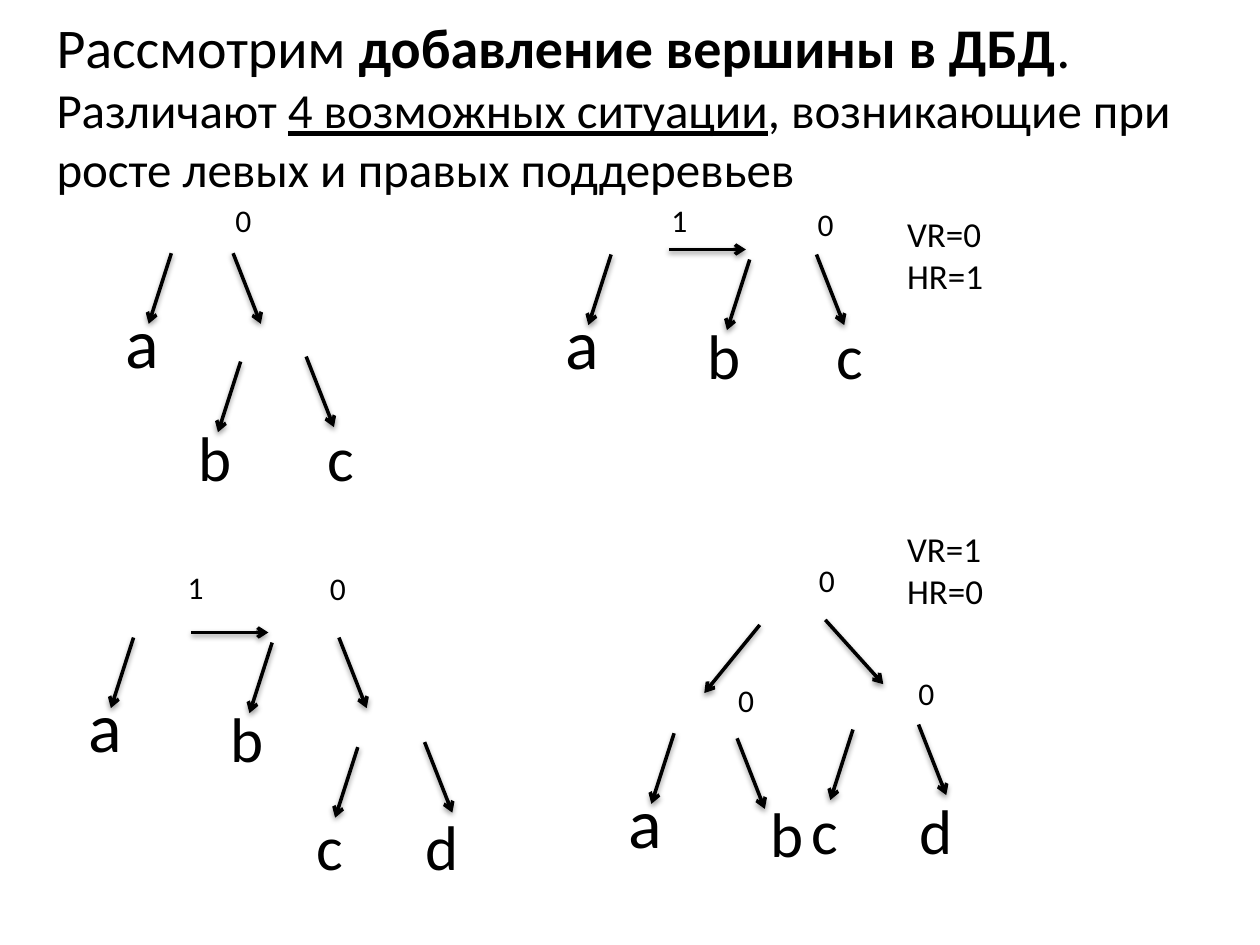
from lxml.etree import SubElement
from pptx import Presentation
from pptx.dml.color import RGBColor
from pptx.enum.shapes import MSO_CONNECTOR
from pptx.oxml.ns import qn
from pptx.util import Inches, Pt

COLORS = {"ink": "000000", "paper": "FFFFFF"}
LETTER_HEIGHTS = {40: 0.77, 36: 0.71}
LEFT, RIGHT, ACROSS = (-0.18, 0.56), (0.22, 0.56), (0.61, 0)
WIDE_LEFT, WIDE_RIGHT = (-0.44, 0.54), (0.46, 0.51)

TREES = [
    {
        "letters": [("a", 0.9, 2.32, 40), ("b", 1.48, 3.27, 36), ("c", 2.5, 3.27, 36)],
        "arrows": [(1.85, 2.01, RIGHT), (1.36, 2.01, LEFT),
                   (2.43, 2.83, RIGHT), (1.91, 2.87, LEFT)],
        "balances": [("0", 1.77, 1.55)],
        "flags": [],
    },
    {
        "letters": [("a", 4.39, 2.33, 40), ("b", 5.52, 2.46, 36), ("c", 6.54, 2.46, 36)],
        "arrows": [(5.31, 1.98, ACROSS), (4.85, 2.02, LEFT),
                   (6.48, 2.02, RIGHT), (5.95, 2.06, LEFT)],
        "balances": [("1", 5.23, 1.55), ("0", 6.39, 1.58)],
        "flags": [("VR=0\nHR=1", 7.1, 1.64)],
    },
    {
        "letters": [("a", 0.6, 5.37, 40), ("b", 1.73, 5.5, 36),
                    ("c", 2.41, 6.36, 36), ("d", 3.28, 6.36, 36)],
        "arrows": [(1.52, 5.02, ACROSS), (1.06, 5.06, LEFT), (2.69, 5.06, RIGHT),
                   (2.16, 5.1, LEFT), (3.37, 5.89, RIGHT), (2.84, 5.93, LEFT)],
        "balances": [("1", 1.39, 4.46), ("0", 2.52, 4.47)],
        "flags": [],
    },
    {
        "letters": [("a", 4.89, 6.13, 40), ("b", 6.02, 6.26, 36),
                    ("c", 6.34, 6.23, 36), ("d", 7.2, 6.23, 36)],
        "arrows": [(5.35, 5.82, LEFT), (6.55, 4.92, WIDE_RIGHT), (6.03, 4.96, WIDE_LEFT),
                   (7.29, 5.75, RIGHT), (6.77, 5.79, LEFT), (5.85, 5.86, RIGHT)],
        "balances": [("0", 7.19, 5.3), ("0", 6.4, 4.4), ("0", 5.76, 5.36)],
        "flags": [("VR=1\nHR=0", 7.1, 4.14)],
    },
]


def add_text(text, shapes, left, top, width, height, size):
    box = shapes.add_textbox(Inches(left), Inches(top), Inches(width), Inches(height))
    box.text_frame.word_wrap = True
    box.text_frame.text = text
    for para in box.text_frame.paragraphs:
        for span in para.runs:
            span.font.name = "Calibri"
            span.font.size = Pt(size)
            span.font.color.rgb = RGBColor.from_string(COLORS["ink"])
    return box


def add_arrow(shapes, left, top, step):
    arrow = shapes.add_connector(
        MSO_CONNECTOR.STRAIGHT, Inches(left), Inches(top),
        Inches(left + step[0]), Inches(top + step[1]))
    arrow.line.width = Pt(2)
    arrow.line.color.rgb = RGBColor.from_string(COLORS["ink"])
    SubElement(arrow.line._get_or_add_ln(), qn("a:tailEnd"), type="arrow")
    effects = SubElement(arrow._element.spPr, qn("a:effectLst"))
    shadow = SubElement(effects, qn("a:outerShdw"), blurRad=str(Pt(3.1)),
                        dist=str(Pt(1.6)), dir="5400000", rotWithShape="0")
    shade = SubElement(shadow, qn("a:srgbClr"), val=COLORS["ink"])
    SubElement(shade, qn("a:alpha"), val="38000")


deck = Presentation()
deck.slide_width, deck.slide_height = Inches(10), Inches(7.5)
page = deck.slides.add_slide(deck.slide_layouts[6])
page.background.fill.solid()
page.background.fill.fore_color.rgb = RGBColor.from_string(COLORS["paper"])

intro = add_text("Рассмотрим \nРазличают ", page.shapes, 0.35, 0.05, 9.29, 5.75, 32)
heading, detail = intro.text_frame.paragraphs
detail.runs[0].font.size = Pt(28)
for para, size, text, bold, underline in [
    (heading, 32, "добавление вершины в ДБД", True, False),
    (heading, 32, ".", False, False),
    (detail, 28, "4 возможных ситуации", False, True),
    (detail, 28, ", возникающие при росте левых и правых поддеревьев", False, False),
]:
    span = para.add_run()
    span.text = text
    span.font.name = "Calibri"
    span.font.size = Pt(size)
    span.font.bold = bold
    span.font.underline = underline
    span.font.color.rgb = RGBColor.from_string(COLORS["ink"])

for tree in TREES:
    group = page.shapes.add_group_shape()
    for text, left, top, size in tree["letters"]:
        add_text(text, group.shapes, left, top, 0.55, LETTER_HEIGHTS[size], size)
    for left, top, step in tree["arrows"]:
        add_arrow(group.shapes, left, top, step)
    for text, left, top in tree["balances"]:
        add_text(text, group.shapes, left, top, 0.29, 0.4, 18)
    for text, left, top in tree["flags"]:
        add_text(text, group.shapes, left, top, 1.02, 0.77, 20)

deck.save("out.pptx")
